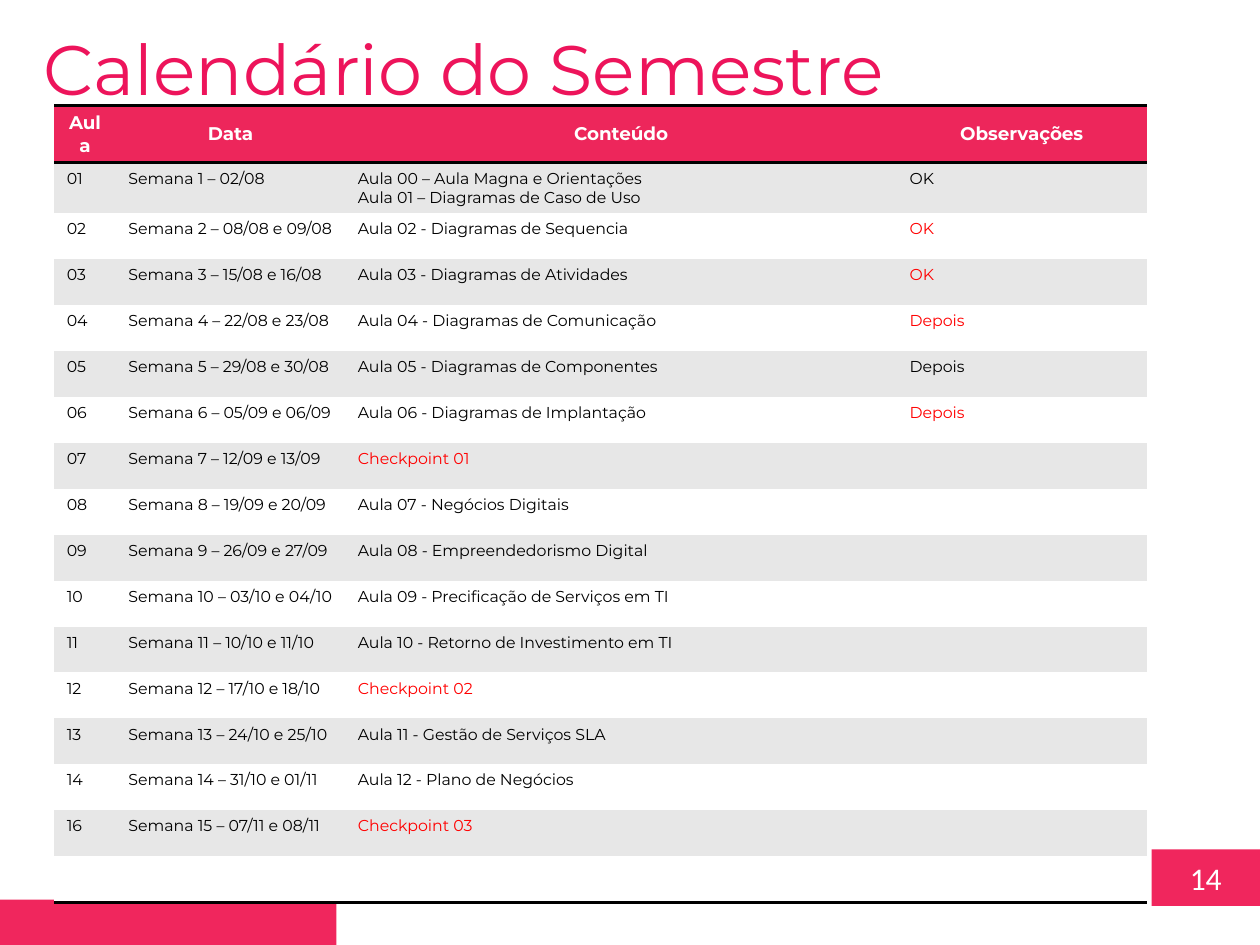
"""Builds the semester calendar slide with its table of classes."""
from dataclasses import dataclass

from lxml.etree import SubElement
from pptx import Presentation
from pptx.dml.color import RGBColor as RGB
from pptx.enum.shapes import MSO_SHAPE as SHAPE
from pptx.enum.text import MSO_ANCHOR as ANCHOR, MSO_AUTO_SIZE as AUTO_SIZE, PP_ALIGN as ALIGN
from pptx.oxml import parse_xml
from pptx.oxml.ns import nsdecls, qn
from pptx.util import Inches, Pt


@dataclass(frozen=True)
class Theme:
    font: str = "Montserrat"
    number_font: str = "Calibri"
    title: str = "ED145B"
    block: str = "F0265D"
    header: str = "ED265B"
    band: str = "E7E7E7"
    white: str = "FFFFFF"
    ink: str = "000000"
    alert: str = "FF0000"
    title_size: float = 40
    number_size: float = 18
    header_size: float = 10.5
    body_size: float = 9
    rule_width: float = 2


theme = Theme()
GRID_COLUMNS, GRID_ROWS = 100, 75
NO_STYLE = "{2D5ABB26-0587-4C30-8999-92F81FD0307C}"


def grid(*units):
    return [Inches(unit / 10) for unit in units]


def write(frame, text, size, color, font=theme.font, bold=False, align=ALIGN.LEFT):
    frame.text = text
    for paragraph in frame.paragraphs:
        paragraph.alignment = align
        paragraph.font.name = font
        paragraph.font.size = Pt(size)
        paragraph.font.bold = bold
        paragraph.font.color.rgb = RGB.from_string(color)
        if not text:
            SubElement(paragraph._p, qn("a:endParaRPr"), sz=str(int(size * 100)))


headings = ["Aula", "Data", "Conteúdo", "Observações"]
column_widths = grid(4.9, 18.2, 43.8, 19.8)
classes = [
    ("01", "Semana 1 – 02/08", "Aula 00 – Aula Magna e Orientações\nAula 01 – Diagramas de Caso de Uso", "OK"),
    ("02", "Semana 2 – 08/08 e 09/08", "Aula 02 - Diagramas de Sequencia", "OK"),
    ("03", "Semana 3 – 15/08 e 16/08", "Aula 03 - Diagramas de Atividades", "OK"),
    ("04", "Semana 4 – 22/08 e 23/08", "Aula 04 - Diagramas de Comunicação", "Depois"),
    ("05", "Semana 5 – 29/08 e 30/08", "Aula 05 - Diagramas de Componentes", "Depois"),
    ("06", "Semana 6 – 05/09 e 06/09", "Aula 06 - Diagramas de Implantação", "Depois"),
    ("07", "Semana 7 – 12/09 e 13/09", "Checkpoint 01", ""),
    ("08", "Semana 8 – 19/09 e 20/09", "Aula 07 - Negócios Digitais", ""),
    ("09", "Semana 9 – 26/09 e 27/09", "Aula 08 - Empreendedorismo Digital", ""),
    ("10", "Semana 10 – 03/10 e 04/10", "Aula 09 - Precificação de Serviços em TI", ""),
    ("11", "Semana 11 – 10/10 e 11/10", "Aula 10 - Retorno de Investimento em TI", ""),
    ("12", "Semana 12 – 17/10 e 18/10", "Checkpoint 02", ""),
    ("13", "Semana 13 – 24/10 e 25/10", "Aula 11 - Gestão de Serviços SLA", ""),
    ("14", "Semana 14 – 31/10 e 01/11", "Aula 12 - Plano de Negócios", ""),
    ("16", "Semana 15 – 07/11 e 08/11", "Checkpoint 03", ""),
    ("", "", "", ""),
]
alert_notes = {"02", "03", "04", "06"}

deck = Presentation()
deck.slide_width, deck.slide_height = grid(GRID_COLUMNS, GRID_ROWS)
slide = deck.slides.add_slide(deck.slide_layouts[6])

for box, number in [((91.4, 67.4, 8.6, 4.5), "14"), ((0, 71.4, 26.7, 3.6), "")]:
    block = slide.shapes.add_shape(SHAPE.RECTANGLE, *grid(*box))
    block.shadow.inherit = False
    block.fill.solid()
    block.fill.fore_color.rgb = RGB.from_string(theme.block)
    block.line.fill.background()
    if number:
        block.text_frame.vertical_anchor = ANCHOR.MIDDLE
        write(block.text_frame, number, theme.number_size, theme.white,
              font=theme.number_font, align=ALIGN.CENTER)

title = slide.shapes.add_textbox(*grid(2.5, 1.5, 69.2, 7.7)).text_frame
title.word_wrap = True
title.auto_size = AUTO_SIZE.SHAPE_TO_FIT_TEXT
write(title, "Calendário do Semestre", theme.title_size, theme.title)

rows = [headings, *classes]
last_row = len(rows) - 1
calendar = slide.shapes.add_table(len(rows), len(headings), *grid(4.3, 8.4, 86.7, 62)).table
calendar.first_row = calendar.horz_banding = False
calendar._tbl.tblPr.find(qn("a:tableStyleId")).text = NO_STYLE
for column, width in zip(calendar.columns, column_widths):
    column.width = width

for row_index, row in enumerate(rows):
    is_header = row_index == 0
    fill = theme.header if is_header else theme.band if row_index % 2 else theme.white
    rules = ["lnB", "lnT"] if is_header else ["lnB"] if row_index == last_row else []
    for column_index, text in enumerate(row):
        cell = calendar.cell(row_index, column_index)
        cell.fill.solid()
        cell.fill.fore_color.rgb = RGB.from_string(fill)
        if is_header:
            cell.vertical_anchor = ANCHOR.MIDDLE
            write(cell.text_frame, text, theme.header_size, theme.white, bold=True, align=ALIGN.CENTER)
        else:
            is_alert = text.startswith("Checkpoint") or (column_index == 3 and row[0] in alert_notes)
            write(cell.text_frame, text, theme.body_size, theme.alert if is_alert else theme.ink)
        for rule in rules:
            cell._tc.get_or_add_tcPr().insert(0, parse_xml(
                f'<a:{rule} {nsdecls("a")} w="{Pt(theme.rule_width)}"><a:solidFill>'
                f'<a:srgbClr val="{theme.ink}"/></a:solidFill></a:{rule}>'))

deck.save("out.pptx")
